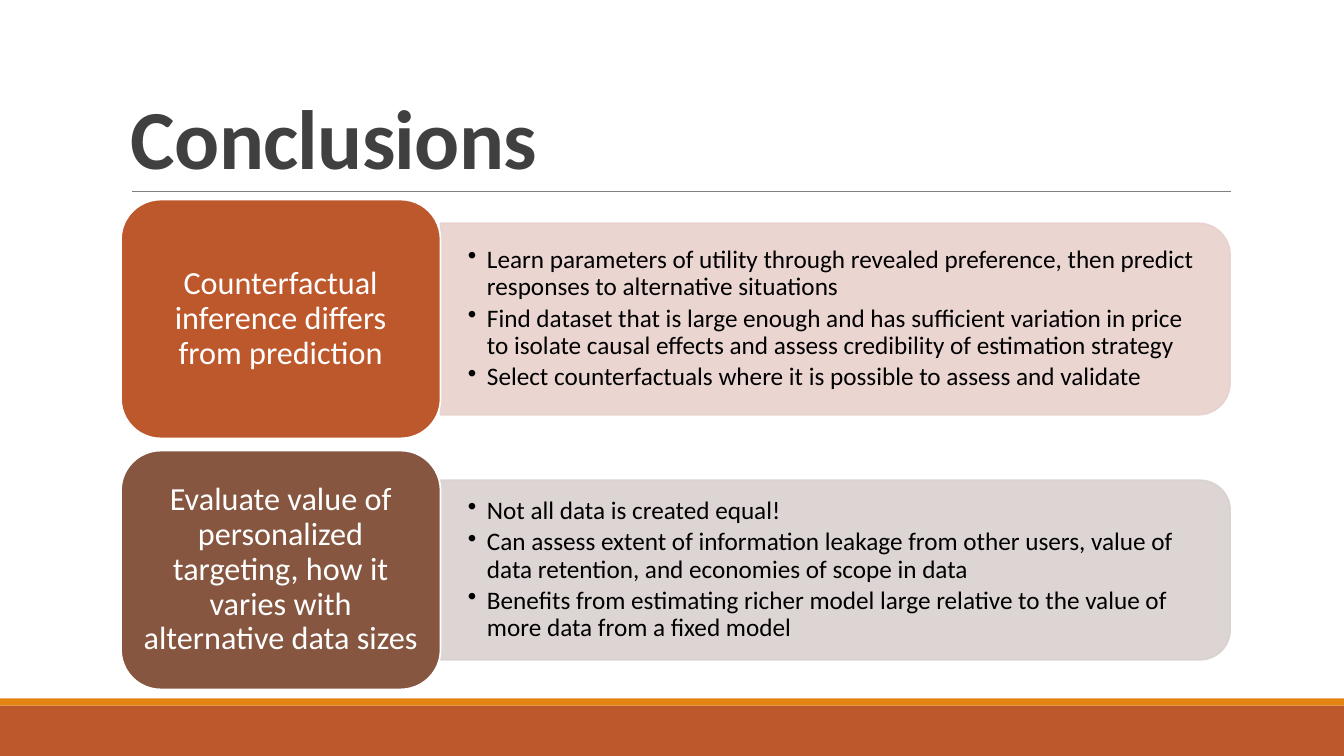
from lxml import etree
from pptx import Presentation
from pptx import util as u
from pptx.dml import color
from pptx.enum import shapes, text
from pptx.oxml import ns

WIDTH, HEIGHT = 13.33, 7.5
FONT = "Calibri"
COLORS = {
    "rust": "BD582C", "amber": "E48312", "brown": "865640",
    "rose": "E8D1CD", "taupe": "D9D1CF", "rule": "808080",
    "title": "404040", "body": "000000", "white": "FFFFFF",
}
ROWS = [
    ("Counterfactual inference differs from prediction", "rust", "rose", 1.9, [
        "Learn parameters of utility through revealed preference, then predict "
        "responses to alternative situations",
        "Find dataset that is large enough and has sufficient variation in price to "
        "isolate causal effects and assess credibility of estimation strategy",
        "Select counterfactuals where it is possible to assess and validate",
    ]),
    ("Evaluate value of personalized targeting, how it varies with alternative data sizes",
     "brown", "taupe", 1.78, [
        "Not all data is created equal!",
        "Can assess extent of information leakage from other users, value of data "
        "retention, and economies of scope in data",
        "Benefits from estimating richer model large relative to the value of more "
        "data from a fixed model",
    ]),
]


def rgb(name):
    return color.RGBColor.from_string(COLORS[name])


def inches(*lengths):
    return [u.Inches(length) for length in lengths]


def add_block(slide, kind, box, fill, line=None):
    shape = slide.shapes.add_shape(kind, *inches(*box))
    shape.shadow.inherit = False
    shape.fill.solid()
    shape.fill.fore_color.rgb = rgb(fill)
    if line:
        shape.line.color.rgb = rgb(line)
        shape.line.width = u.Pt(1.25)
    else:
        shape.line.fill.background()
    return shape


def set_frame(shape, anchor, horizontal=0.1, vertical=0.05):
    frame = shape.text_frame
    frame.word_wrap = True
    frame.vertical_anchor = anchor
    frame.margin_left = frame.margin_right = u.Inches(horizontal)
    frame.margin_top = frame.margin_bottom = u.Inches(vertical)
    return frame


def write(paragraph, words, size, ink, spacing=0.9, align=text.PP_ALIGN.LEFT):
    paragraph.text = words
    paragraph.alignment = align
    paragraph.line_spacing = spacing
    paragraph.font.name = FONT
    paragraph.font.size = u.Pt(size)
    paragraph.font.color.rgb = rgb(ink)


def add_bullet(paragraph, indent):
    properties = paragraph._p.get_or_add_pPr()
    properties.set("marL", str(u.Inches(indent)))
    properties.set("indent", str(-u.Inches(indent)))
    bullet = etree.Element(ns.qn("a:buChar"), char="•")
    defaults = properties.find(ns.qn("a:defRPr"))
    if defaults is None:
        properties.append(bullet)
    else:
        defaults.addprevious(bullet)


def add_footer(slide, box):
    left, top, width, height = box
    stripe = 0.07
    add_block(slide, shapes.MSO_SHAPE.RECTANGLE,
              (left, top + stripe, width, height - stripe), "rust")
    add_block(slide, shapes.MSO_SHAPE.RECTANGLE, (left, top, width, stripe), "amber")


def add_title(slide, box):
    left, top, width, height = box
    bottom = top + height
    rule = slide.shapes.add_connector(
        shapes.MSO_CONNECTOR.STRAIGHT,
        *inches(left + 0.11, bottom, left + width + 0.01, bottom))
    rule.line.color.rgb = rgb("rule")
    rule.line.width = u.Pt(0.5)
    etree.SubElement(rule._element.spPr, ns.qn("a:effectLst"))
    title = slide.shapes.add_textbox(*inches(*box))
    paragraph = set_frame(title, text.MSO_ANCHOR.BOTTOM).paragraphs[0]
    write(paragraph, "Conclusions", 60, "title", 0.85)
    paragraph.font.bold = True
    paragraph.runs[0]._r.get_or_add_rPr().set("spc", "-50")


def add_panel(slide, box, tint, points):
    left, top, width, height = box
    shift = (width - height) / 2
    panel = add_block(slide, shapes.MSO_SHAPE.ROUND_2_SAME_RECTANGLE,
                      (left + shift, top - shift, height, width), tint, tint)
    panel.rotation = 90
    for shade in panel._element.spPr.iter(ns.qn("a:srgbClr")):
        etree.SubElement(shade, ns.qn("a:alpha"), val="90000")
    margin = 0.09
    body = slide.shapes.add_textbox(
        *inches(left, top + margin, width - margin, height - 2 * margin))
    frame = set_frame(body, text.MSO_ANCHOR.MIDDLE, 0.27, 0.14)
    for index, point in enumerate(points):
        paragraph = frame.add_paragraph() if index else frame.paragraphs[0]
        write(paragraph, point, 18, "body")
        paragraph.space_after = u.Pt(3)
        add_bullet(paragraph, 0.19)


def add_row(slide, box, label, fill, tint, panel_height, points):
    left, top, width, height = box
    card_width = 3.17
    add_panel(slide, (left + card_width, top + (height - panel_height) / 2,
                      width - card_width, panel_height), tint, points)
    card = add_block(slide, shapes.MSO_SHAPE.ROUNDED_RECTANGLE,
                     (left, top, card_width, height), fill, "white")
    frame = set_frame(card, text.MSO_ANCHOR.MIDDLE)
    write(frame.paragraphs[0], label, 23, "white", align=text.PP_ALIGN.CENTER)


def add_conclusions(slide, box):
    left, top, width, height = box
    gap = 0.12
    row_height = (height - gap * (len(ROWS) - 1)) / len(ROWS)
    for index, row in enumerate(ROWS):
        add_row(slide, (left, top + index * (row_height + gap), width, row_height), *row)


presentation = Presentation()
presentation.slide_width, presentation.slide_height = inches(WIDTH, HEIGHT)
slide = presentation.slides.add_slide(presentation.slide_layouts[6])
add_footer(slide, (0, 6.93, WIDTH, HEIGHT - 6.93))
add_title(slide, (1.2, 0.31, 11, 1.59))
add_conclusions(slide, (1.2, 1.98, 11, 4.86))
presentation.save("out.pptx")
